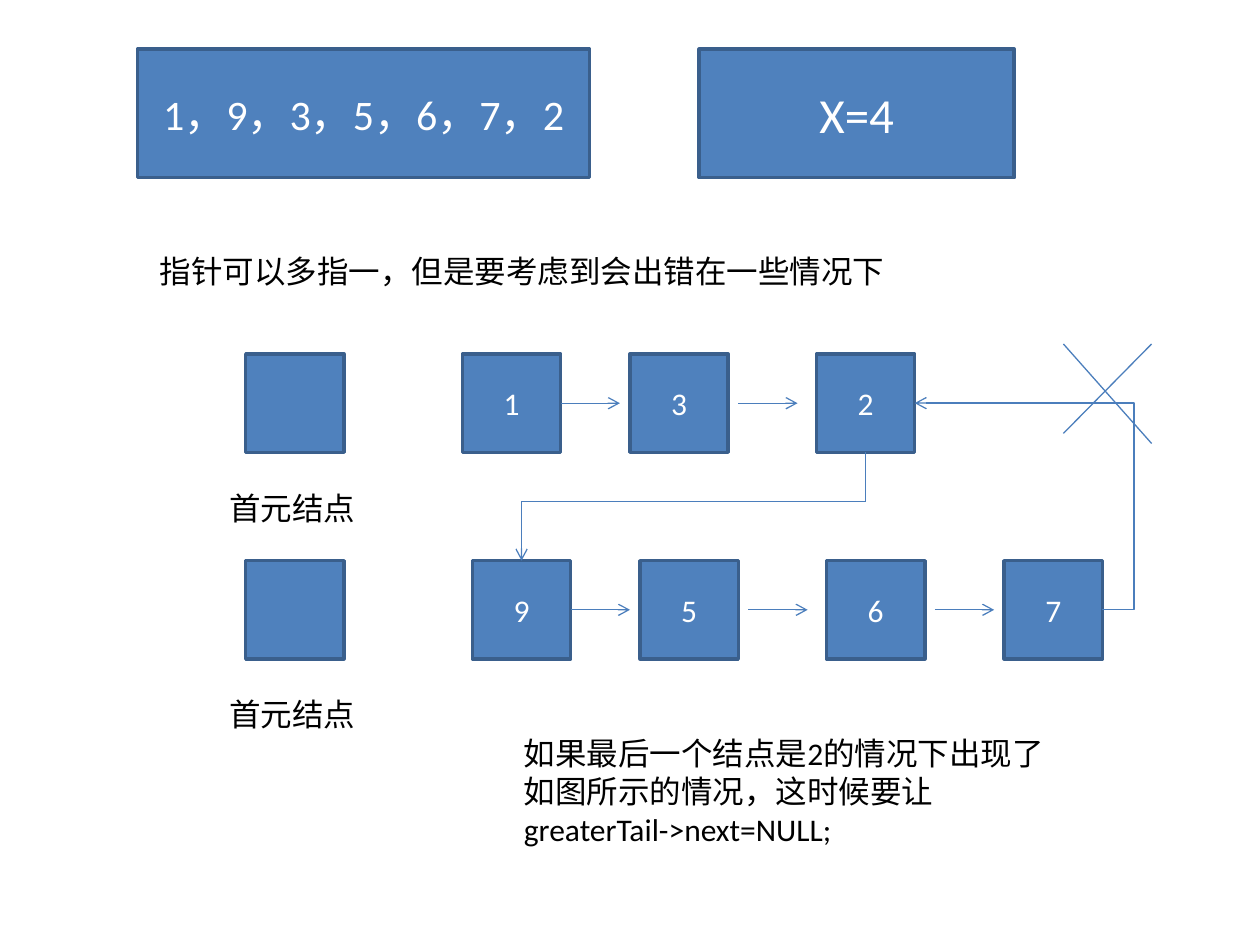
from lxml.etree import SubElement
from pptx import Presentation
from pptx.dml.color import RGBColor
from pptx.enum.shapes import MSO_CONNECTOR as Link, MSO_SHAPE as Preset
from pptx.enum.text import MSO_ANCHOR as Anchor, PP_ALIGN as Align
from pptx.oxml.ns import qn
from pptx.util import Inches, Pt

FILL = RGBColor(0x4F, 0x81, 0xBD)
BORDER = RGBColor(0x3A, 0x5F, 0x8C)
LINK = RGBColor(0x4B, 0x7E, 0xBC)
WHITE = RGBColor(0xFF, 0xFF, 0xFF)
BLACK = RGBColor(0, 0, 0)
SIDE = 0.78
BOTTOM, RIGHT, TOP = 2, 3, 0


def write(frame, text, size=18, color=BLACK, align=Align.LEFT, anchor=Anchor.TOP):
    frame.word_wrap = True
    frame.vertical_anchor = anchor
    para = frame.paragraphs[0]
    para.alignment = align
    span = para.add_run()
    span.text = text
    span.font.size = Pt(size)
    span.font.name = "Calibri"
    span.font.color.rgb = color


class Sketch:
    def __init__(self, page):
        self.shapes = page.shapes

    def box(self, left, top, width=SIDE, height=SIDE, text="", size=18):
        box = self.shapes.add_shape(
            Preset.RECTANGLE, Inches(left), Inches(top), Inches(width), Inches(height))
        box.shadow.inherit = False
        box.fill.solid()
        box.fill.fore_color.rgb = FILL
        box.line.color.rgb = BORDER
        box.line.width = Pt(2)
        if text:
            write(box.text_frame, text, size, WHITE, Align.CENTER, Anchor.MIDDLE)
        return box

    def label(self, left, top, width, height, text):
        label = self.shapes.add_textbox(
            Inches(left), Inches(top), Inches(width), Inches(height))
        write(label.text_frame, text)

    def link(self, start, end, kind=Link.STRAIGHT, arrow=True, source=None, target=None):
        link = self.shapes.add_connector(kind, *map(Inches, start + end))
        if source:
            link.begin_connect(*source)
        if target:
            link.end_connect(*target)
        link.line.color.rgb = LINK
        link.line.width = Pt(0.75)
        if arrow:
            SubElement(link.line._get_or_add_ln(), qn("a:tailEnd"), type="arrow")
        SubElement(link._element.spPr, qn("a:effectLst"))
        return link

    def elbow(self, start, end, preset, bend=None, **joins):
        link = self.link(start, end, Link.ELBOW, **joins)
        geometry = link._element.spPr.find(qn("a:prstGeom"))
        geometry.set("prst", preset)
        if bend is not None:
            SubElement(geometry.find(qn("a:avLst")), qn("a:gd"),
                       name="adj1", fmla=f"val {round(bend * 100000)}")


def main():
    deck = Presentation()
    deck.slide_width, deck.slide_height = Inches(10), Inches(7.5)
    sketch = Sketch(deck.slides.add_slide(deck.slide_layouts[6]))

    sketch.box(1.09, 0.39, 3.59, 1.02, "1，9，3，5，6，7，2", 24)
    sketch.box(5.55, 0.39, 2.5, 1.02, "X=4", 28)
    sketch.label(1.17, 1.95, 6.33, 0.4, "指针可以多指一，但是要考虑到会出错在一些情况下")

    rows = [
        (2.81, [("1", 3.67), ("3", 5), ("2", 6.48)]),
        (4.45, [("9", 3.75), ("5", 5.08), ("6", 6.56), ("7", 7.97)]),
    ]
    nodes = {}
    for top, row in rows:
        sketch.box(1.95, top)
        sketch.label(1.72, top + 1.02, 1.33, 0.4, "首元结点")
        for value, left in row:
            nodes[value] = sketch.box(left, top, text=value)
        middle = top + SIDE / 2
        for index, (value, left) in enumerate(row[:-1]):
            start = left + SIDE + (0.08 if index else 0)
            source = None if index else (nodes[value], RIGHT)
            sketch.link((start, middle), (start + 0.47, middle), source=source)

    sketch.elbow((8.75, 4.84), (7.26, 3.2), "bentConnector3", -0.168,
                 source=(nodes["7"], RIGHT), target=(nodes["2"], RIGHT))
    sketch.link((6.87, 3.59), (6.87, 3.98), arrow=False, source=(nodes["2"], BOTTOM))
    sketch.elbow((6.87, 3.98), (4.14, 4.45), "bentConnector2", target=(nodes["9"], TOP))

    sketch.link((9.14, 2.73), (8.44, 3.44), arrow=False)
    sketch.link((8.44, 2.73), (9.14, 3.52), arrow=False)
    sketch.label(4.06, 5.78, 4.45, 1.01,
                 "如果最后一个结点是2的情况下出现了如图所示的情况，这时候要让greaterTail->next=NULL;")

    deck.save("out.pptx")


if __name__ == "__main__":
    main()
